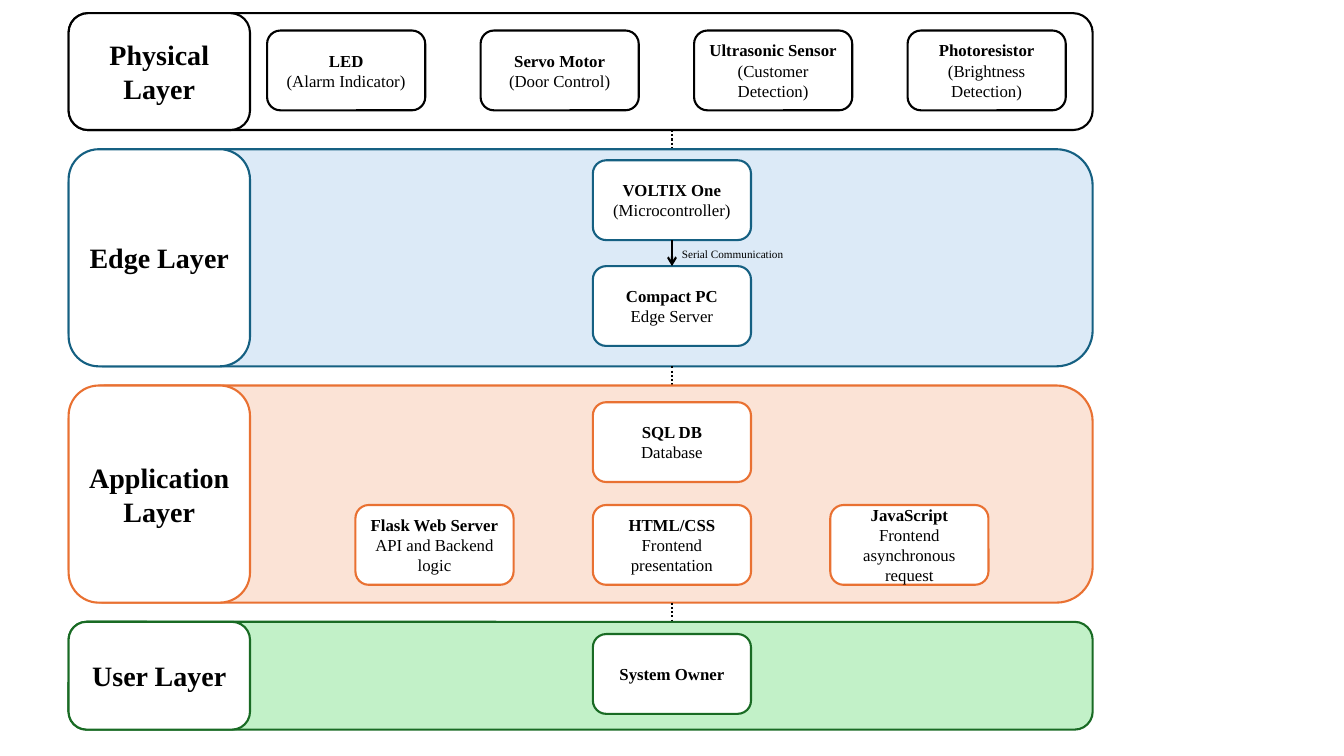
from dataclasses import dataclass

from lxml.etree import SubElement
from pptx import Presentation
from pptx.dml.color import RGBColor
from pptx.enum.dml import MSO_LINE
from pptx.enum.shapes import MSO_CONNECTOR, MSO_SHAPE
from pptx.enum.text import MSO_ANCHOR, MSO_AUTO_SIZE, PP_ALIGN
from pptx.oxml.ns import qn
from pptx.util import Pt


@dataclass(frozen=True)
class Theme:
    """Colours, type sizes and line width of the slide."""
    font: str = "Times New Roman"
    ink: str = "000000"
    paper: str = "FFFFFF"
    edge: str = "156082"
    edge_fill: str = "DCEAF7"
    application: str = "E97132"
    application_fill: str = "FBE3D6"
    user: str = "196B24"
    user_fill: str = "C2F1C8"
    title_size: float = 20
    body_size: float = 12
    note_size: float = 8
    line_width: float = 1.5


THEME = Theme()
LEFT, TOP, GAP = 49, 9.4, 13.7
LAYER_WIDTH, LABEL_WIDTH = 731.5, 129.6
BOX_WIDTH, BOX_HEIGHT = 113, 57
CENTER = 480
MIDDLE = CENTER - BOX_WIDTH / 2
SENSOR_LEFT, SENSOR_STEP = 190.8, 152.5
WEB_STEP = 169.6

LAYERS = [
    ("Physical Layer", 83.5, THEME.ink, THEME.paper),
    ("Edge Layer", 155.1, THEME.edge, THEME.edge_fill),
    ("Application Layer", 155.1, THEME.application, THEME.application_fill),
    ("User Layer", 77, THEME.user, THEME.user_fill),
]
SENSORS = [
    ("LED", "(Alarm Indicator)"),
    ("Servo Motor", "(Door Control)"),
    ("Ultrasonic Sensor", "(Customer Detection)"),
    ("Photoresistor", "(Brightness Detection)"),
]
WEB_PARTS = [
    ("Flask Web Server", "API and Backend logic"),
    ("HTML/CSS", "Frontend presentation"),
    ("JavaScript", "Frontend asynchronous request"),
]
CENTRAL_PARTS = [
    (114.5, THEME.edge, ("VOLTIX One", "(Microcontroller)")),
    (190.1, THEME.edge, ("Compact PC", "Edge Server")),
    (287.3, THEME.application, ("SQL DB", "Database")),
    (452.9, THEME.user, ("System Owner",)),
]


def write_para(para, text, size, bold=False):
    """Put styled text into a paragraph."""
    para.text = text
    for span in para.runs:
        span.font.name = THEME.font
        span.font.size = Pt(size)
        span.font.bold = bold
        span.font.color.rgb = RGBColor.from_string(THEME.ink)


def add_box(page, left, top, width, height, line, fill=THEME.paper,
            lines=(), size=THEME.body_size):
    """Add a rounded box whose first line of text is bold."""
    box = page.shapes.add_shape(MSO_SHAPE.ROUNDED_RECTANGLE, Pt(left), Pt(top),
                                Pt(width), Pt(height))
    box.shadow.inherit = False
    box.fill.solid()
    box.fill.fore_color.rgb = RGBColor.from_string(fill)
    box.line.color.rgb = RGBColor.from_string(line)
    box.line.width = Pt(THEME.line_width)
    frame = box.text_frame
    frame.word_wrap = True
    frame.vertical_anchor = MSO_ANCHOR.MIDDLE
    for index, text in enumerate(lines):
        para = frame.add_paragraph() if index else frame.paragraphs[0]
        para.alignment = PP_ALIGN.CENTER
        write_para(para, text, size, bold=index == 0)


def add_part(page, left, top, line, lines):
    """Add one component box."""
    add_box(page, left, top, BOX_WIDTH, BOX_HEIGHT, line, lines=lines)


def add_layer(page, top, title, height, line, fill):
    """Add a layer band with its title box."""
    add_box(page, LEFT, top, LAYER_WIDTH, height, line, fill)
    add_box(page, LEFT, top, LABEL_WIDTH, height, line, lines=(title,),
            size=THEME.title_size)


def add_link(page, top, bottom, arrow=False):
    """Add a vertical link on the centre line, dotted or with an arrowhead."""
    link = page.shapes.add_connector(MSO_CONNECTOR.STRAIGHT, Pt(CENTER), Pt(top),
                                     Pt(CENTER), Pt(bottom))
    link.line.color.rgb = RGBColor.from_string(THEME.ink)
    link.line.width = Pt(THEME.line_width)
    if arrow:
        SubElement(link.line._get_or_add_ln(), qn("a:tailEnd"), type="arrow")
    else:
        link.line.dash_style = MSO_LINE.ROUND_DOT
    SubElement(link._element.spPr, qn("a:effectLst"))


def add_note(page, left, top, width, height, text):
    """Add a small caption."""
    note = page.shapes.add_textbox(Pt(left), Pt(top), Pt(width), Pt(height))
    note.text_frame.word_wrap = True
    note.text_frame.auto_size = MSO_AUTO_SIZE.SHAPE_TO_FIT_TEXT
    write_para(note.text_frame.paragraphs[0], text, THEME.note_size)


def main():
    """Build the layered architecture slide."""
    deck = Presentation()
    deck.slide_width, deck.slide_height = Pt(960), Pt(540)
    page = deck.slides.add_slide(deck.slide_layouts[6])

    top = TOP
    for index, (title, height, line, fill) in enumerate(LAYERS):
        if index:
            add_link(page, top - GAP, top)
        add_layer(page, top, title, height, line, fill)
        top += height + GAP

    for column, lines in enumerate(SENSORS):
        add_part(page, SENSOR_LEFT + column * SENSOR_STEP, 21.8, THEME.ink, lines)
    for part_top, line, lines in CENTRAL_PARTS:
        add_part(page, MIDDLE, part_top, line, lines)
    for column, lines in enumerate(WEB_PARTS):
        add_part(page, MIDDLE + (column - 1) * WEB_STEP, 360.7,
                 THEME.application, lines)

    add_link(page, CENTRAL_PARTS[0][0] + BOX_HEIGHT, CENTRAL_PARTS[1][0], arrow=True)
    add_note(page, CENTER, 172.8, 87, 17, "Serial Communication")
    deck.save("out.pptx")


if __name__ == "__main__":
    main()
